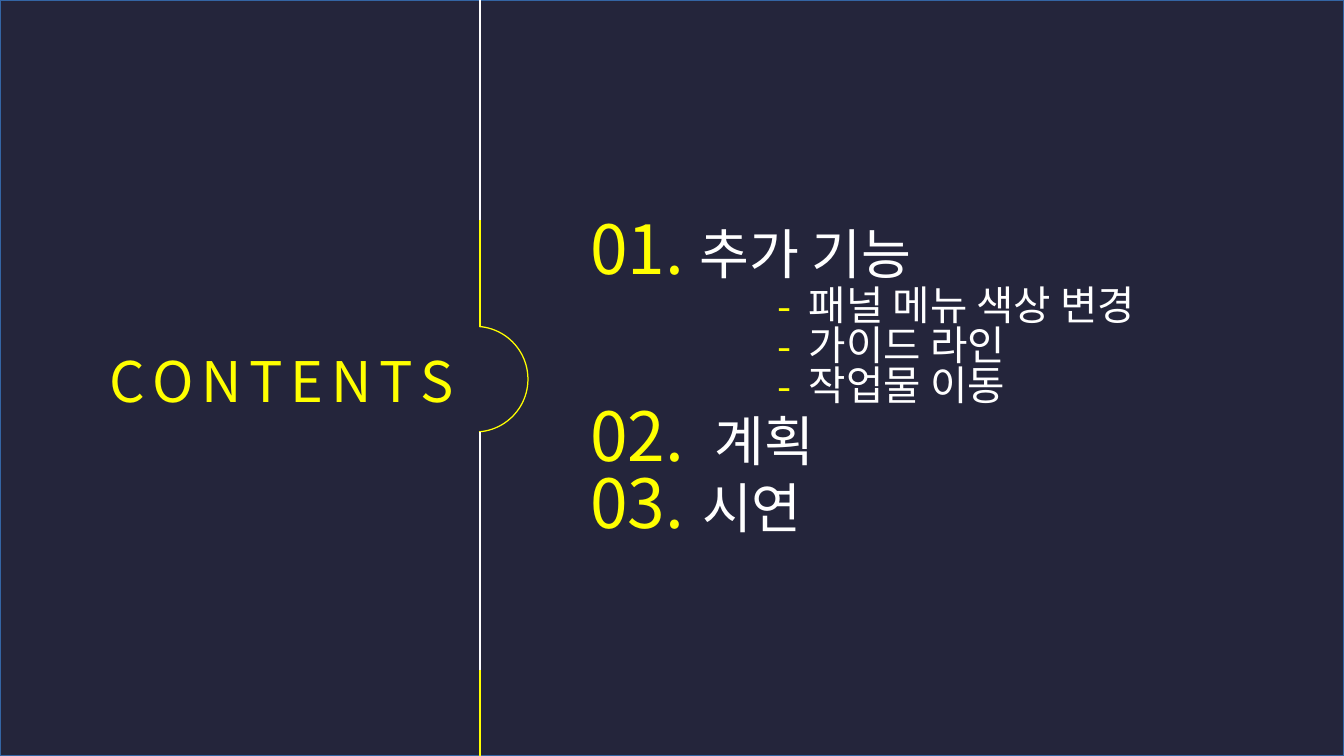
from lxml.etree import SubElement
from pptx import Presentation
from pptx.dml.color import RGBColor
from pptx.enum.shapes import MSO_CONNECTOR, MSO_SHAPE
from pptx.enum.text import MSO_ANCHOR, PP_ALIGN
from pptx.oxml.ns import qn
from pptx.util import Cm, Pt

NAVY, YELLOW, WHITE, BLUE = "24253B", "FFFF00", "FFFFFF", "3465A4"
FONT = "Noto Sans CJK KR"
W, H = 28, 15.75
DIVIDER_X = 10

# number, extra space after it in points, heading, sub-items
AGENDA = [
    ("01.", 0, "추가 기능", ["패널 메뉴 색상 변경", "가이드 라인", "작업물 이동"]),
    ("02.", 9, "계획", []),
    ("03.", 1.5, "시연", []),
]


def rgb(color):
    return RGBColor.from_string(color)


def add_run(p, text, size, color, spacing=0):
    r = p.add_run()
    r.text = text
    r.font.size = Pt(size)
    r.font.color.rgb = rgb(color)
    r.font.name = FONT
    rPr = r._r.get_or_add_rPr()
    SubElement(rPr, qn("a:ea"), typeface=FONT)
    if spacing:
        rPr.set("spc", str(int(spacing * 100)))


def add_outline(slide, kind, x, y, w, h, fill=None, line=None):
    sp = slide.shapes.add_shape(kind, Cm(x), Cm(y), Cm(w), Cm(h))
    sp.shadow.inherit = False
    if fill:
        sp.fill.solid()
        sp.fill.fore_color.rgb = rgb(fill)
    else:
        sp.fill.background()
    if line:
        sp.line.color.rgb = rgb(line)
        sp.line.width = Pt(0.75)
    else:
        sp.line.fill.background()


def add_divider(slide, x, top, bottom, color):
    line = slide.shapes.add_connector(
        MSO_CONNECTOR.STRAIGHT, Cm(x), Cm(top), Cm(x), Cm(bottom))
    line.line.color.rgb = rgb(color)
    line.line.width = Pt(0.75)
    SubElement(line._element.spPr, qn("a:effectLst"))


def set_frame(sp, x, y, w, h):
    """Place a placeholder and return its text frame without margins."""
    sp.left, sp.top, sp.width, sp.height = Cm(x), Cm(y), Cm(w), Cm(h)
    tf = sp.text_frame
    tf.margin_left = tf.margin_right = tf.margin_top = tf.margin_bottom = 0
    tf.vertical_anchor = MSO_ANCHOR.MIDDLE
    tf.word_wrap = True
    return tf


def set_bullet(p, left, hanging=0, char=None):
    pPr = p._p.get_or_add_pPr()
    pPr.set("marL", str(Cm(left)))
    pPr.set("indent", str(-Cm(hanging)))
    if char:
        color = SubElement(pPr, qn("a:buClr"))
        SubElement(color, qn("a:srgbClr"), val=YELLOW)
        SubElement(pPr, qn("a:buFont"), typeface=FONT)
        SubElement(pPr, qn("a:buChar"), char=char)
    else:
        SubElement(pPr, qn("a:buNone"))
    p.line_spacing = 0.82
    p.space_before = p.space_after = Pt(0)


def draw_backdrop(slide, x, y, w, h):
    add_outline(slide, MSO_SHAPE.RECTANGLE, x, y, w, h, NAVY, BLUE)
    add_outline(slide, MSO_SHAPE.OVAL, x + 8.8, y + 6.8, 2.2, 2.2, line=YELLOW)
    add_outline(slide, MSO_SHAPE.RECTANGLE, x + 7.4, y + 5.8, 2.58, 4.2, NAVY)
    for top, bottom, color in [(0, 4.58, WHITE), (4.58, 6.8, YELLOW),
                               (9, 13.95, WHITE), (13.95, h, YELLOW)]:
        add_divider(slide, x + DIVIDER_X, y + top, y + bottom, color)


def fill_title(sp, x, y, w, h):
    p = set_frame(sp, x, y, w, h).paragraphs[0]
    p.alignment = PP_ALIGN.CENTER
    for i, letter in enumerate("CONTENTS"):
        if i:
            add_run(p, " ", 20, YELLOW)
        add_run(p, letter, 33, YELLOW)


def fill_agenda(sp, x, y, w, h):
    tf = set_frame(sp, x, y, w, h)
    p = tf.paragraphs[0]
    for i, (number, gap, heading, items) in enumerate(AGENDA):
        if i:
            p = tf.add_paragraph()
        set_bullet(p, 0.3)
        add_run(p, number, 40, YELLOW)
        add_run(p, " ", 40, YELLOW, gap)
        add_run(p, heading, 32, WHITE)
        for item in items:
            p = tf.add_paragraph()
            set_bullet(p, 4.85, 0.65, "-")
            add_run(p, item, 24, WHITE)


def main():
    prs = Presentation()
    prs.slide_width, prs.slide_height = Cm(W), Cm(H)
    slide = prs.slides.add_slide(prs.slide_layouts[1])
    title, body = slide.placeholders
    draw_backdrop(slide, 0, 0, W, H)
    # placeholders come first in the tree, so lift them above the backdrop
    for sp in (title, body):
        slide.shapes._spTree.append(sp._element)
    fill_title(title, 1.37, 6.6, 9, 2.62)
    fill_agenda(body, 12, 2.85, 14.2, 10.2)
    prs.save("out.pptx")


if __name__ == "__main__":
    main()
